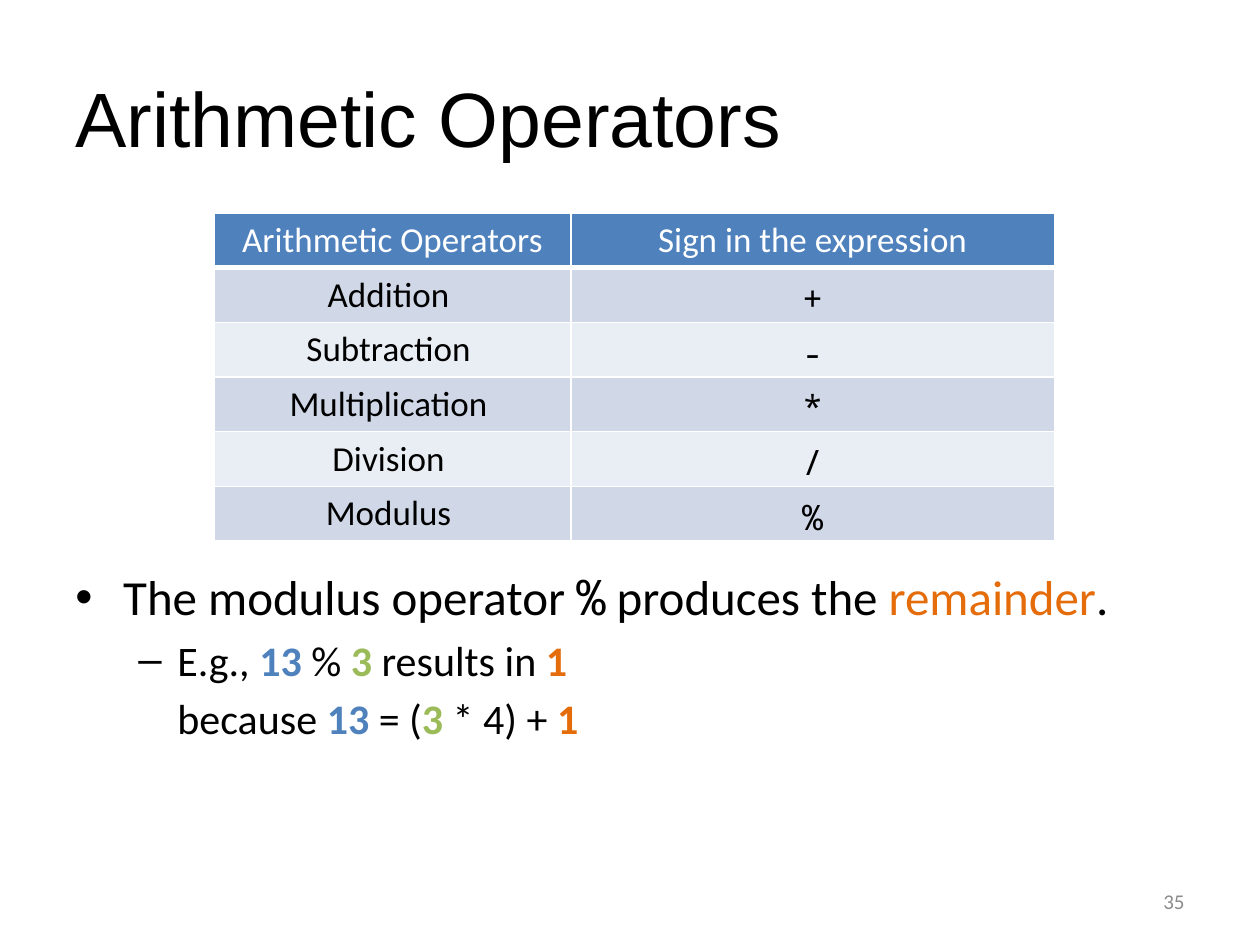
from lxml import etree
from pptx import Presentation
from pptx.dml.color import RGBColor
from pptx.enum.text import MSO_ANCHOR, PP_ALIGN
from pptx.oxml.ns import qn
from pptx.util import Inches, Pt

MIDDLE, TOP = MSO_ANCHOR.MIDDLE, MSO_ANCHOR.TOP
LEFT, CENTER, RIGHT = PP_ALIGN.LEFT, PP_ALIGN.CENTER, PP_ALIGN.RIGHT

BLACK = RGBColor(0x00, 0x00, 0x00)
WHITE = RGBColor(0xFF, 0xFF, 0xFF)
GRAY = RGBColor(0x8C, 0x8C, 0x8C)
BLUE = RGBColor(0x4F, 0x81, 0xBD)
GREEN = RGBColor(0x9B, 0xBB, 0x59)
ORANGE = RGBColor(0xE4, 0x6C, 0x0A)
BANDS = RGBColor(0xD0, 0xD8, 0xE8), RGBColor(0xE9, 0xED, 0xF4)

SANS, MONO = "Calibri", "Noto Sans Mono"

TITLE = "Arithmetic Operators"
NUMBER = "35"
ROWS = [
    ("Arithmetic Operators", "Sign in the expression"),
    ("Addition ", "+"),
    ("Subtraction ", "-"),
    ("Multiplication ", "*"),
    ("Division ", "/"),
    ("Modulus ", "%"),
]
COLS = 2.83, 3.84
ROW_H = 0.43

# Run styles: font name, colour, bold
PLAIN = SANS, BLACK, False
CODE = MONO, BLACK, False
KEY = SANS, ORANGE, False
WHOLE = SANS, BLUE, True
PART = SANS, GREEN, True
REST = SANS, ORANGE, True

# Size, left margin, indent, bullet, runs
NOTES = [
    (28, 0.38, -0.38, "•", [
        ("The modulus operator ", PLAIN), ("%", CODE),
        (" produces the ", PLAIN), ("remainder", KEY), (".", PLAIN)]),
    (24, 0.81, -0.31, "–", [
        ("E.g., ", PLAIN), ("13", WHOLE), (" % ", PLAIN), ("3", PART),
        (" results in ", PLAIN), ("1", REST)]),
    (24, 0.81, 0, None, [
        ("because ", PLAIN), ("13", WHOLE), (" = (", PLAIN), ("3", PART),
        (" * 4) + ", PLAIN), ("1", REST)]),
]


def style(font, name, size, color, bold=False):
    font.name, font.size, font.bold = name, Pt(size), bold
    font.color.rgb = color


def add_box(slide, at, anchor):
    frame = slide.shapes.add_textbox(*map(Inches, at)).text_frame
    frame.word_wrap = True
    frame.vertical_anchor = anchor
    return frame


def add_line(slide, at, text, name, size, color, align):
    para = add_box(slide, at, MIDDLE).paragraphs[0]
    para.text, para.alignment = text, align
    style(para.font, name, size, color)


def set_bullet(para, margin, indent, mark):
    props = para._p.get_or_add_pPr()
    props.set("marL", str(Inches(margin)))
    props.set("indent", str(Inches(indent)))
    if mark:
        etree.SubElement(props, qn("a:buFont"), typeface="Arial")
        etree.SubElement(props, qn("a:buChar"), char=mark)
    else:
        etree.SubElement(props, qn("a:buNone"))


def set_border(cell, top, bottom):
    props = cell._tc.get_or_add_tcPr()
    for side, width in zip("LRTB", (1, 1, top, bottom)):
        line = etree.SubElement(props, qn(f"a:ln{side}"), w=str(Pt(width)))
        fill = etree.SubElement(line, qn("a:solidFill"))
        etree.SubElement(fill, qn("a:srgbClr"), val=str(WHITE))


def add_grid(slide):
    at = 1.7, 1.69, sum(COLS), ROW_H * len(ROWS)
    table = slide.shapes.add_table(
        len(ROWS), len(COLS), *map(Inches, at)).table
    for col, width in zip(table.columns, COLS):
        col.width = Inches(width)
    for r, row in enumerate(ROWS):
        table.rows[r].height = Inches(ROW_H)
        for c, text in enumerate(row):
            cell = table.cell(r, c)
            set_border(cell, 3 if r == 1 else 1, 3 if r == 0 else 1)
            cell.fill.solid()
            cell.fill.fore_color.rgb = BANDS[(r - 1) % 2] if r else BLUE
            para = cell.text_frame.paragraphs[0]
            para.text, para.alignment = text, CENTER
            style(para.font, MONO if r and c else SANS, 20,
                  BLACK if r else WHITE)


def add_notes(slide):
    frame = add_box(slide, (0.5, 4.45, 9, 2.25), TOP)
    for i, (size, margin, indent, mark, runs) in enumerate(NOTES):
        para = frame.add_paragraph() if i else frame.paragraphs[0]
        if i:
            para.space_before = Pt(size * 0.2)
        set_bullet(para, margin, indent, mark)
        for text, (name, color, bold) in runs:
            run = para.add_run()
            run.text = text
            style(run.font, name, size, color, bold)


def main():
    deck = Presentation()
    deck.slide_width, deck.slide_height = Inches(10), Inches(7.5)
    slide = deck.slides.add_slide(deck.slide_layouts[6])
    add_line(slide, (0.5, 0.3, 9, 1.25), TITLE, "Arial", 44, BLACK, LEFT)
    add_notes(slide)
    add_line(slide, (7.17, 6.95, 2.33, 0.4), NUMBER, SANS, 12, GRAY, RIGHT)
    add_grid(slide)
    deck.save("out.pptx")


if __name__ == "__main__":
    main()
